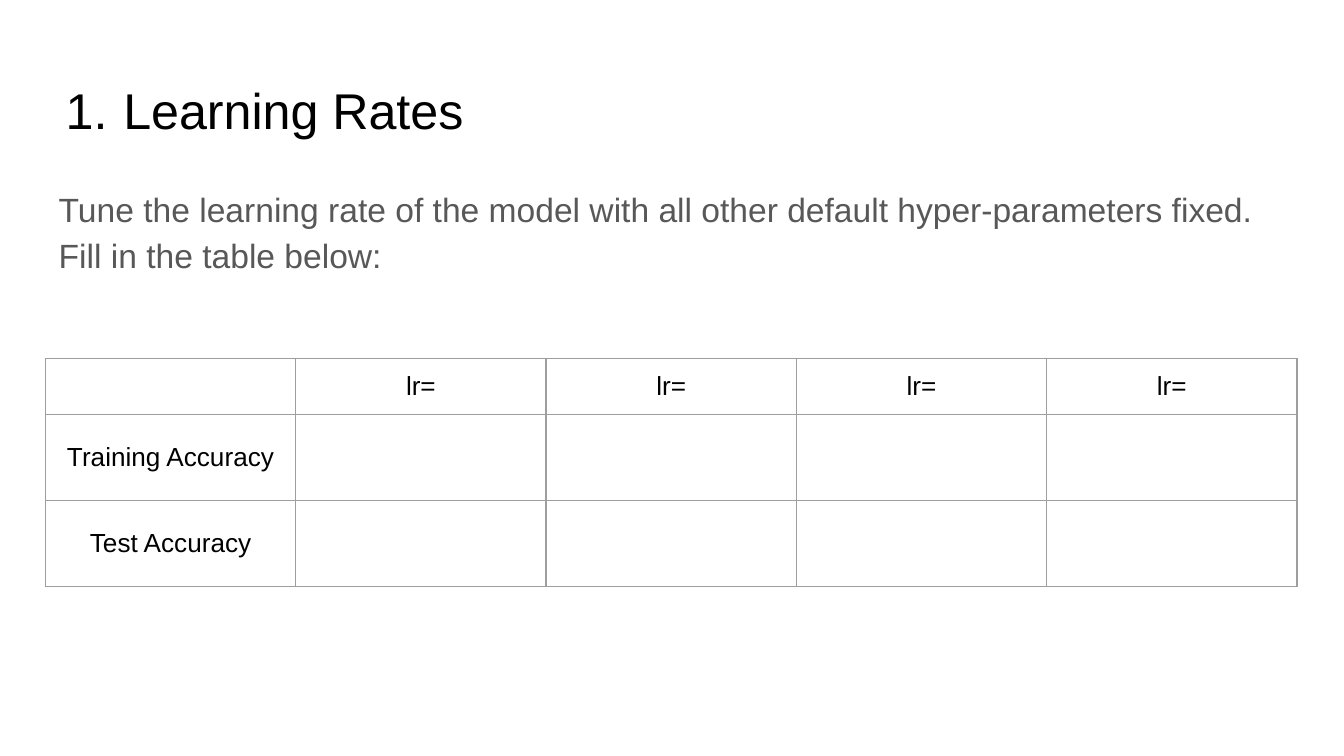
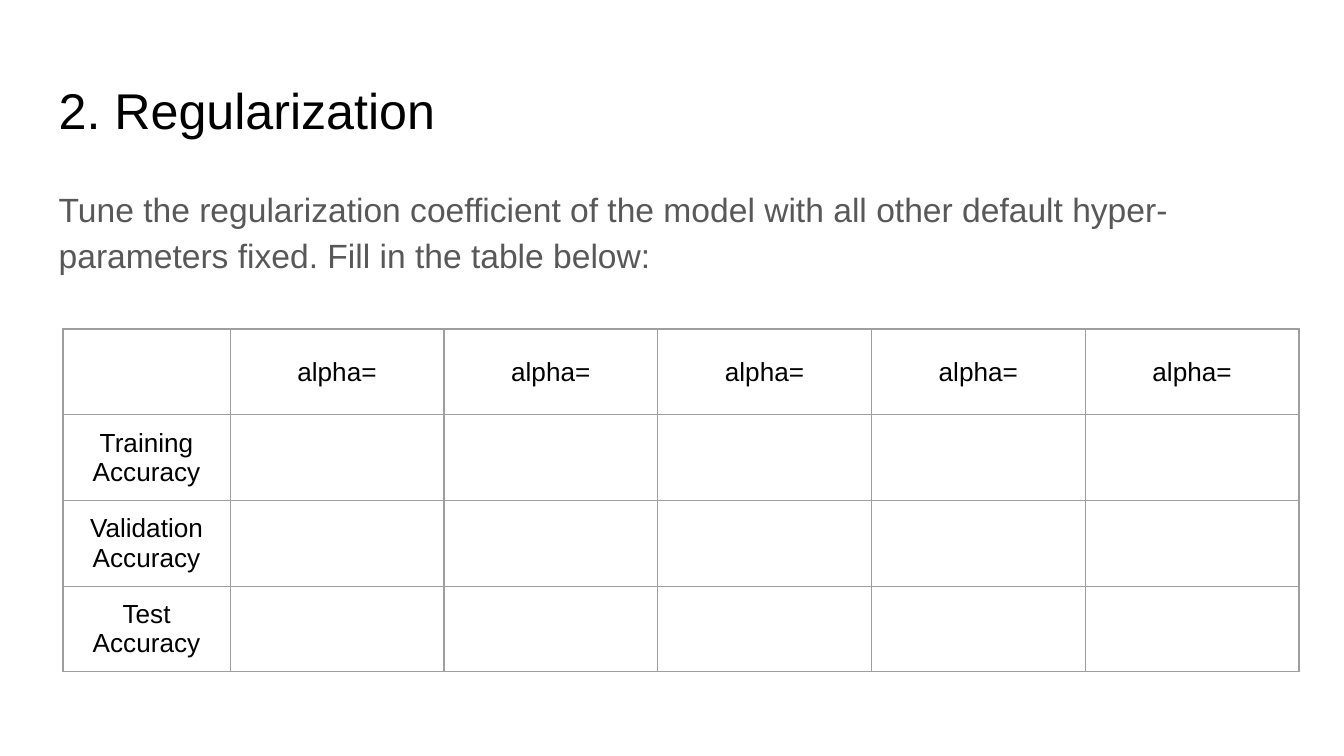
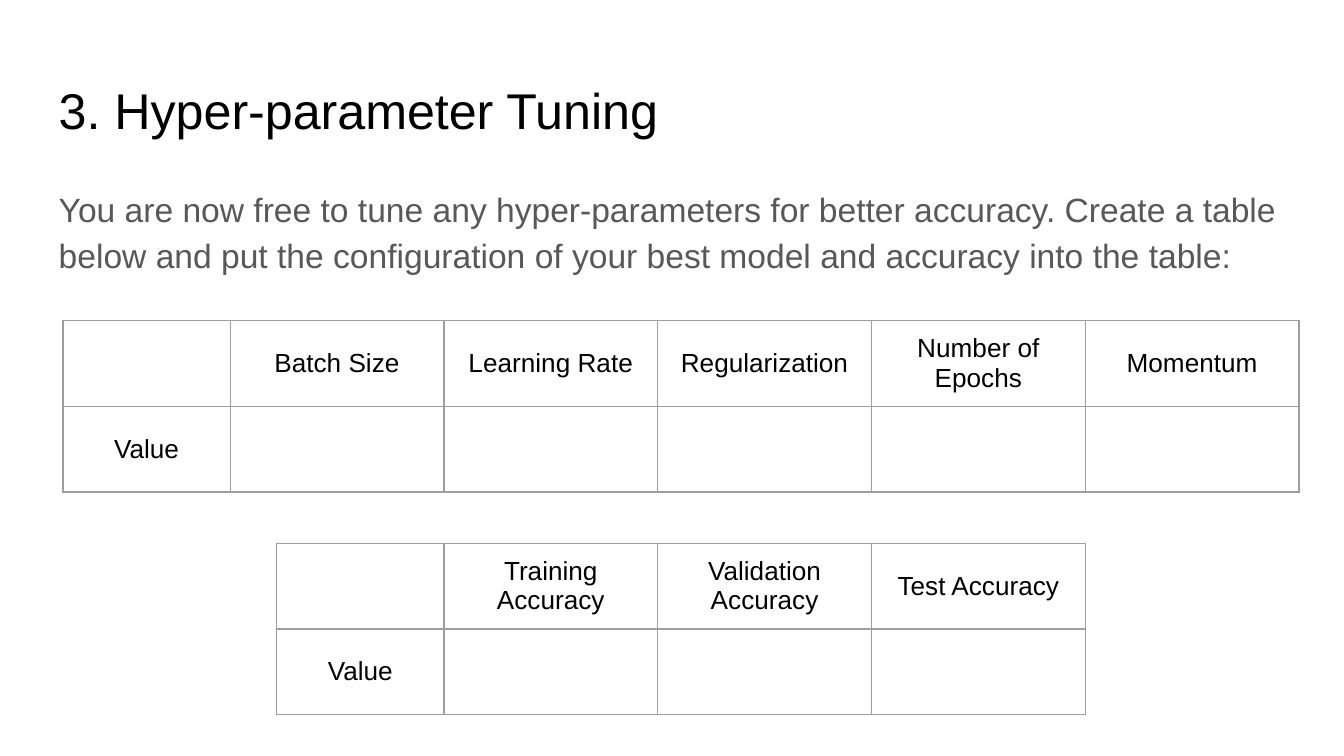
from dataclasses import dataclass

from lxml import etree
from pptx import Presentation
from pptx.dml.color import RGBColor
from pptx.enum.text import MSO_ANCHOR, MSO_AUTO_SIZE, PP_ALIGN
from pptx.oxml.ns import qn
from pptx.presentation import Presentation as Deck
from pptx.slide import Slide
from pptx.table import _Cell as Cell
from pptx.text.text import TextFrame, _Paragraph as Para
from pptx.util import Cm, Pt

LEFT, CENTER = PP_ALIGN.LEFT, PP_ALIGN.CENTER
TOP, MIDDLE = MSO_ANCHOR.TOP, MSO_ANCHOR.MIDDLE
NO_FIT = MSO_AUTO_SIZE.NONE
TITLE_ONLY = 5


@dataclass(frozen=True)
class Style:
    size: float
    color: str


@dataclass(frozen=True)
class Theme:
    font: str = "Arial"
    title: Style = Style(26.9, "000000")
    body: Style = Style(18, "585858")
    cell: Style = Style(14, "000000")
    rule: str = "9E9E9E"
    rule_width: float = 0.75
    paper: str = "FFFFFF"


@dataclass(frozen=True)
class Box:
    """A frame on the slide, in centimetres."""
    left: float
    top: float
    width: float
    height: float


@dataclass(frozen=True)
class Grid:
    """A table with blank cells to fill in, in centimetres."""
    top: float
    heads: list[str]
    labels: list[str]
    left: float = 1.19
    first: float = 3.16
    step: float = 4.04
    head: float = 1.62
    row: float = 1.62


@dataclass(frozen=True)
class Page:
    title: str
    body: str
    grids: list[Grid]
    number: bool = False


THEME = Theme()
TITLE_BOX = Box(0.86, 1.24, 23.67, 1.6)
BODY_BOX = Box(0.86, 3.2, 23.67, 9.5)
INSET = 0.25

TRAIN, VALID, TEST = "Training Accuracy", "Validation Accuracy", "Test Accuracy"
PAGES = [
    Page(
        "Learning Rates",
        "Tune the learning rate of the model with all other default "
        "hyper-parameters fixed. Fill in the table below:",
        [Grid(6.78, ["lr="] * 4, [TRAIN, TEST],
              left=0.86, first=4.73, step=4.73, head=1.06)],
        number=True,
    ),
    Page(
        "2. Regularization",
        "Tune the regularization coefficient of the model with all other "
        "default hyper-parameters fixed. Fill in the table below:",
        [Grid(6.22, ["alpha="] * 5, [TRAIN, VALID, TEST])],
    ),
    Page(
        "3. Hyper-parameter Tuning",
        "You are now free to tune any hyper-parameters for better accuracy. "
        "Create a table below and put the configuration of your best model "
        "and accuracy into the table:",
        [
            Grid(6.06, ["Batch Size", "Learning Rate", "Regularization",
                        "Number of Epochs", "Momentum"], ["Value"]),
            Grid(10.27, [TRAIN, VALID, TEST], ["Value"], left=5.23),
        ],
    ),
]


def add_run(para: Para, text: str, style: Style) -> None:
    run = para.add_run()
    run.text = text
    run.font.name = THEME.font
    run.font.size = Pt(style.size)
    run.font.color.rgb = RGBColor.from_string(style.color)


def set_frame(frame: TextFrame) -> Para:
    """Apply the shared text frame settings and return the first paragraph."""
    frame.word_wrap = True
    frame.auto_size = NO_FIT
    frame.vertical_anchor = TOP
    frame.margin_left = frame.margin_right = Cm(INSET)
    frame.margin_top = frame.margin_bottom = Cm(INSET)
    para = frame.paragraphs[0]
    para.alignment = LEFT
    return para


def add_number(para: Para) -> None:
    """Number the paragraph automatically, with a hanging indent."""
    props = para._p.get_or_add_pPr()
    props.set("marL", str(Cm(1.22)))
    props.set("indent", str(Cm(-1.09)))
    color = etree.SubElement(props, qn("a:buClr"))
    etree.SubElement(color, qn("a:srgbClr"), val=THEME.title.color)
    etree.SubElement(props, qn("a:buFont"), typeface=THEME.font)
    etree.SubElement(props, qn("a:buAutoNum"), type="arabicPeriod")


def add_title(slide: Slide, page: Page) -> None:
    shape = slide.shapes.title
    shape.left, shape.top = Cm(TITLE_BOX.left), Cm(TITLE_BOX.top)
    shape.width, shape.height = Cm(TITLE_BOX.width), Cm(TITLE_BOX.height)
    para = set_frame(shape.text_frame)
    if page.number:
        add_number(para)
    add_run(para, page.title, THEME.title)


def add_body(slide: Slide, text: str) -> None:
    box = BODY_BOX
    shape = slide.shapes.add_textbox(
        Cm(box.left), Cm(box.top), Cm(box.width), Cm(box.height))
    para = set_frame(shape.text_frame)
    para.line_spacing = 1.15
    add_run(para, text, THEME.body)


def fill_cell(cell: Cell, text: str) -> None:
    props = cell._tc.get_or_add_tcPr()
    for side in ("lnL", "lnR", "lnT", "lnB"):
        line = etree.SubElement(
            props, qn(f"a:{side}"), w=str(Pt(THEME.rule_width)))
        fill = etree.SubElement(line, qn("a:solidFill"))
        etree.SubElement(fill, qn("a:srgbClr"), val=THEME.rule)
    cell.fill.background()
    cell.vertical_anchor = MIDDLE
    para = cell.text_frame.paragraphs[0]
    para.alignment = CENTER
    if text:
        add_run(para, text, THEME.cell)


def add_grid(slide: Slide, grid: Grid) -> None:
    wide = [grid.first] + [grid.step] * len(grid.heads)
    high = [grid.head] + [grid.row] * len(grid.labels)
    table = slide.shapes.add_table(
        len(high), len(wide), Cm(grid.left), Cm(grid.top),
        Cm(sum(wide)), Cm(sum(high))).table
    table.first_row = table.horz_banding = False
    for col, width in zip(table.columns, wide):
        col.width = Cm(width)
    for row, height in zip(table.rows, high):
        row.height = Cm(height)
    blank = [""] * len(grid.heads)
    texts = [["", *grid.heads]] + [[label, *blank] for label in grid.labels]
    for row, line in zip(table.rows, texts):
        for cell, text in zip(row.cells, line):
            fill_cell(cell, text)


def add_page(deck: Deck, page: Page) -> None:
    slide = deck.slides.add_slide(deck.slide_layouts[TITLE_ONLY])
    add_title(slide, page)
    add_body(slide, page.body)
    for grid in page.grids:
        add_grid(slide, grid)


def main() -> None:
    deck = Presentation()
    deck.slide_width, deck.slide_height = Cm(25.4), Cm(14.29)
    paper = deck.slide_master.background.fill
    paper.solid()
    paper.fore_color.rgb = RGBColor.from_string(THEME.paper)
    for page in PAGES:
        add_page(deck, page)
    deck.save("out.pptx")


if __name__ == "__main__":
    main()
